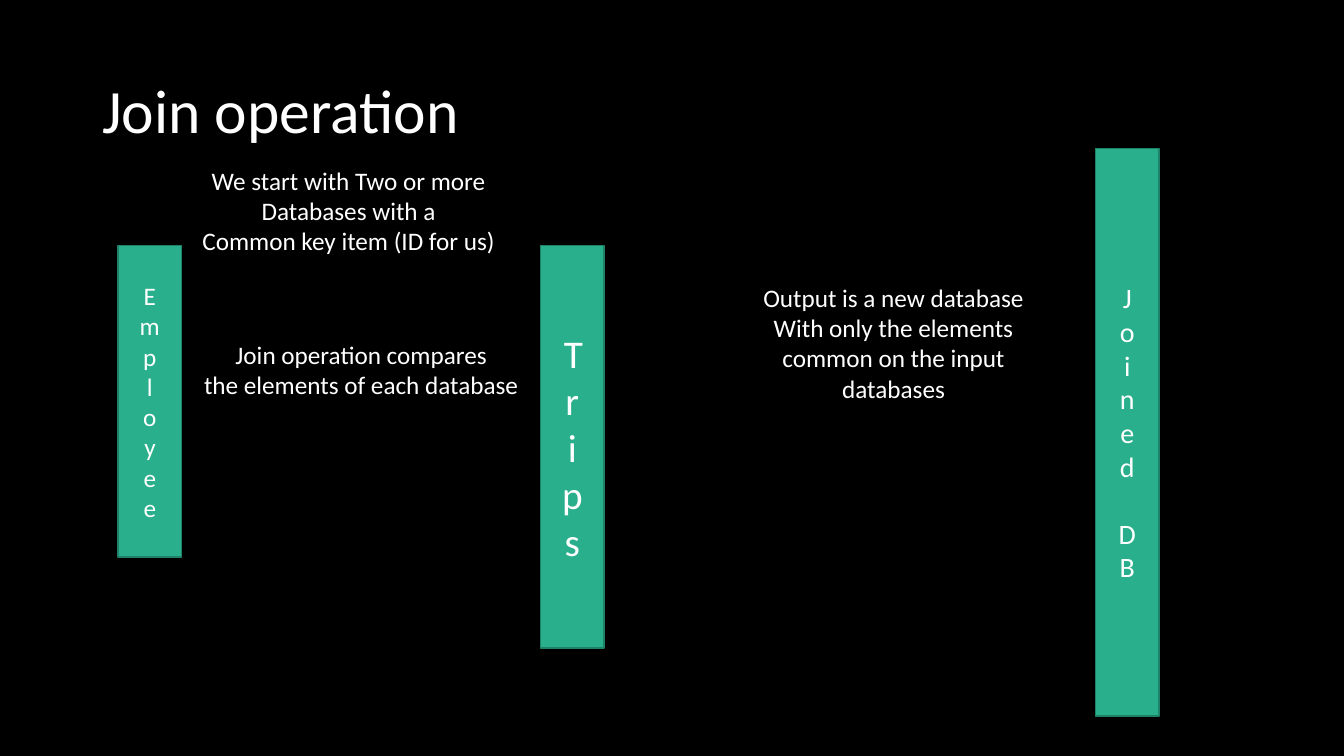
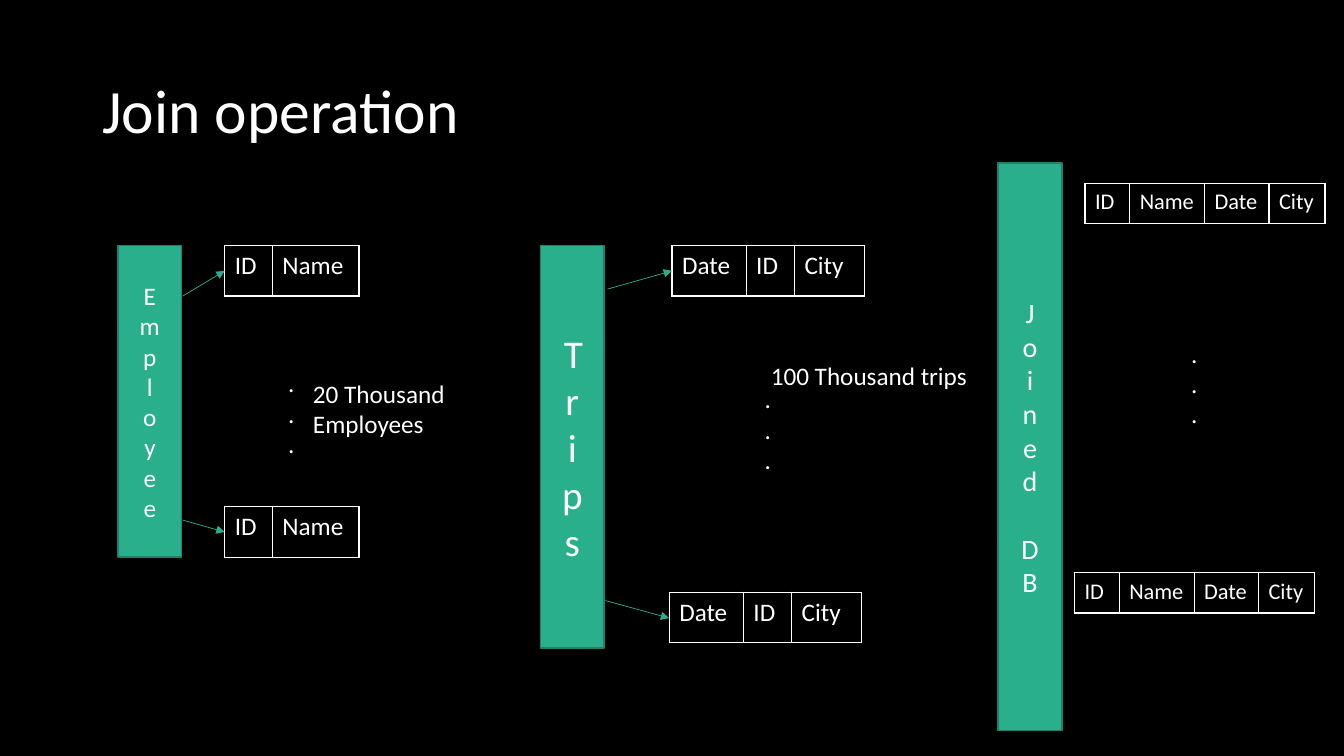
from lxml import etree
from pptx import Presentation
from pptx.dml.color import RGBColor
from pptx.enum.shapes import MSO_CONNECTOR, MSO_SHAPE
from pptx.enum.text import MSO_ANCHOR, PP_ALIGN
from pptx.oxml import parse_xml
from pptx.oxml.ns import nsdecls, qn
from pptx.util import Pt

RECT = MSO_SHAPE.RECTANGLE
LINE = MSO_CONNECTOR.STRAIGHT
LEFT, MID = PP_ALIGN.LEFT, PP_ALIGN.CENTER
TOP, CENTER = MSO_ANCHOR.TOP, MSO_ANCHOR.MIDDLE

hue = RGBColor.from_string
BLACK, WHITE, GREEN, EDGE = "000000", "FFFFFF", "29AF8C", "1E8168"
TITLE = ("Join operation", (66, 29, 828, 104.5))
BAR_W = 45.5
DOT_W, DOT_H = 40, 87

# Bars: text, left, top, height, text size
STAFF = ("Employee", 84.25, 175.5, 222.5, 18)
TRIPS = ("Trips", 386, 175.5, 287.5, 28)

# Tables: column names and widths, row height, text size
STAFF_ROW = ({"ID": 34, "Name": 62}, 36, 18)
TRIP_ROW = ({"Date": 53, "ID": 34.5, "City": 50}, 36, 18)
JOIN_ROW = ({"ID": 32, "Name": 53.5, "Date": 46, "City": 40}, 28.8, 16)

SLIDES = [
    {
        "bars": [STAFF, TRIPS, ("Joined DB", 782.5, 106, 405.5, 20)],
        "notes": [
            ("We start with Two or more\nDatabases with a\n"
             "Common key item (ID for us)", (136, 114.5, 226, 73), MID),
            ("Join operation compares\nthe elements of each database",
             (137, 239, 242, 51), MID),
            ("Output is a new database\nWith only the elements\n"
             "common on the input\ndatabases", (535, 198, 206.5, 117), MID),
        ],
        "dots": [],
        "tables": [],
        "arrows": [],
    },
    {
        "bars": [STAFF, TRIPS, ("Joined DB", 713, 116.5, 405.5, 20)],
        "notes": [
            ("20 Thousand\nEmployees", (216.5, 266.5, 114, 51), LEFT),
            ("100 Thousand trips", (543.5, 254, 165, 29), LEFT),
        ],
        "dots": [(188, 251.5), (528.5, 263), (833, 230.5)],
        "tables": [
            (STAFF_ROW, 160.5, 175.5), (STAFF_ROW, 160.5, 362),
            (TRIP_ROW, 480, 175.5), (TRIP_ROW, 478, 423),
            (JOIN_ROW, 775, 131), (JOIN_ROW, 767.5, 409),
        ],
        "arrows": [
            (130.5, 211.5, 160.5, 193.5), (130.5, 371.5, 160.5, 380),
            (434, 206.5, 480, 193.5), (432.5, 429, 478, 441.5),
        ],
    },
]


def write(item, text, size, align=LEFT, anchor=TOP, vert=False):
    """Fill a shape or cell with text; vert stacks its letters."""
    frame = item.text_frame
    frame.text = text
    frame.word_wrap = True
    frame.vertical_anchor = anchor
    if vert:
        item.element.txBody.bodyPr.set("vert", "wordArtVert")
    look = {"name": "Calibri", "size": Pt(size), "bold": False}
    for para in frame.paragraphs:
        para.alignment = align
        for run in para.runs:
            for key, val in look.items():
                setattr(run.font, key, val)
            run.font.color.rgb = hue(WHITE)


prs = Presentation()
prs.slide_width, prs.slide_height = Pt(960), Pt(540)
back = prs.slide_master.background.fill
back.solid()
back.fore_color.rgb = hue(BLACK)

for data in SLIDES:
    slide = prs.slides.add_slide(prs.slide_layouts[6])
    shapes = slide.shapes

    text, at = TITLE
    head = shapes.add_textbox(*map(Pt, at))
    write(head, text, 44, anchor=CENTER)
    head.text_frame.paragraphs[0].line_spacing = 0.9

    for text, x, y, high, size in data["bars"]:
        bar = shapes.add_shape(RECT, Pt(x), Pt(y), Pt(BAR_W), Pt(high))
        bar.shadow.inherit = False
        bar.fill.solid()
        bar.fill.fore_color.rgb = hue(GREEN)
        bar.line.color.rgb = hue(EDGE)
        bar.line.width = Pt(1)
        write(bar, text, size, MID, CENTER, vert=True)

    for text, at, align in data["notes"]:
        write(shapes.add_textbox(*map(Pt, at)), text, 18, align)

    for x, y in data["dots"]:
        dots = shapes.add_textbox(Pt(x), Pt(y), Pt(DOT_W), Pt(DOT_H))
        write(dots, "...", 18, MID, CENTER, vert=True)

    for (cols, high, size), x, y in data["tables"]:
        wide = sum(cols.values())
        table = shapes.add_table(
            1, len(cols), Pt(x), Pt(y), Pt(wide), Pt(high)).table
        table.first_row = table.horz_banding = False
        for i, (name, width) in enumerate(cols.items()):
            table.columns[i].width = Pt(width)
            cell = table.cell(0, i)
            write(cell, name, size)
            props = cell._tc.get_or_add_tcPr()
            for side in "LRTB":
                props.append(parse_xml(
                    f'<a:ln{side} {nsdecls("a")} w="{Pt(1)}"><a:solidFill>'
                    f'<a:srgbClr val="{WHITE}"/></a:solidFill></a:ln{side}>'))
            cell.fill.background()

    for ends in data["arrows"]:
        arrow = shapes.add_connector(LINE, *map(Pt, ends))
        arrow.line.color.rgb = hue(GREEN)
        arrow.line.width = Pt(0.5)
        tip = etree.SubElement(arrow.line._get_or_add_ln(), qn("a:tailEnd"))
        tip.set("type", "triangle")
        etree.SubElement(arrow.element.spPr, qn("a:effectLst"))

prs.save("out.pptx")
